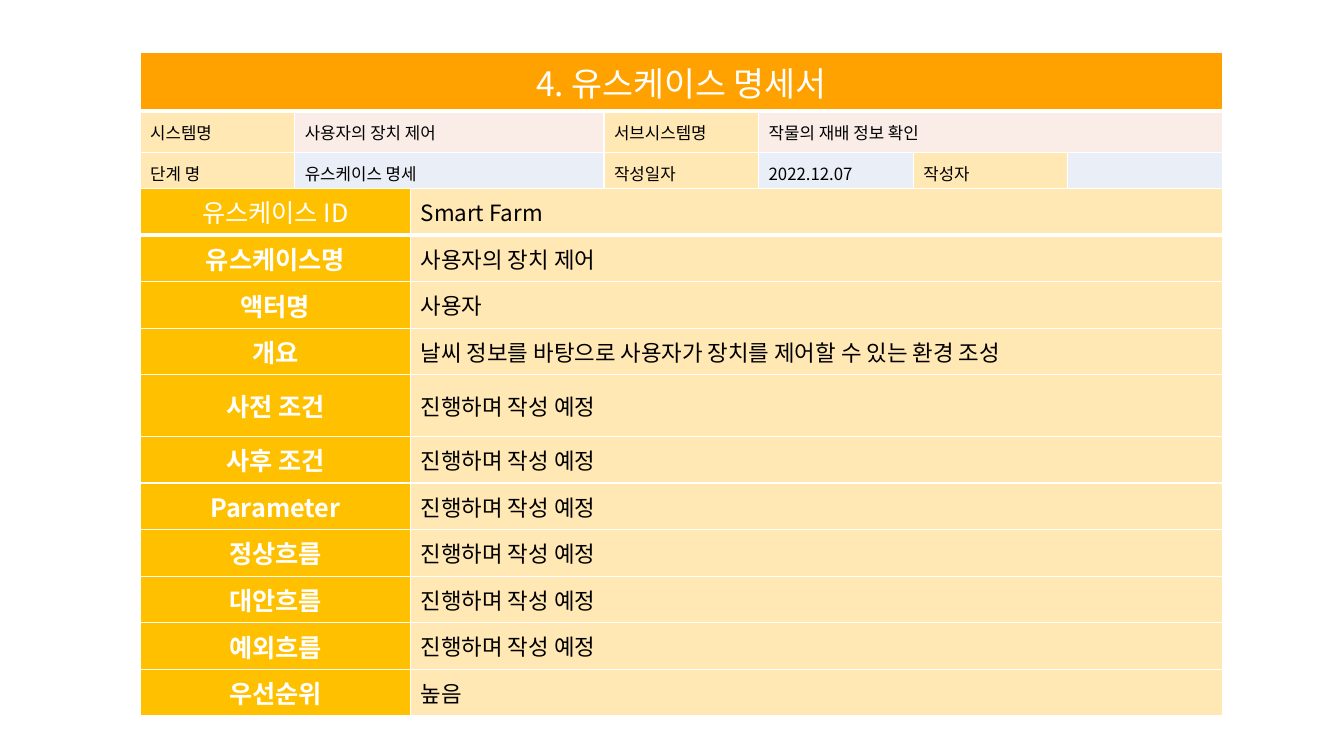
from lxml.etree import SubElement
from pptx import Presentation
from pptx.dml.color import RGBColor
from pptx.enum.text import MSO_ANCHOR, PP_ALIGN
from pptx.oxml.ns import qn
from pptx.util import Cm, Pt

FONT = "Noto Sans CJK KR"
COLORS = {
    "title": "FFA200",
    "label": "FFC000",
    "cream": "FFE8B4",
    "pink": "FAEDE7",
    "blue": "EAEFF7",
    "white": "FFFFFF",
    "black": "000000",
}
STYLES = {
    "title": {"size": Pt(24), "bold": False, "color": "white", "align": PP_ALIGN.CENTER},
    "info": {"size": Pt(12), "bold": False, "color": "black", "align": PP_ALIGN.LEFT},
    "first label": {"size": Pt(18), "bold": False, "color": "white", "align": PP_ALIGN.CENTER},
    "label": {"size": Pt(18), "bold": True, "color": "white", "align": PP_ALIGN.CENTER},
    "value": {"size": Pt(16), "bold": False, "color": "black", "align": PP_ALIGN.LEFT},
}
TITLE = "4. 유스케이스 명세서"
INFO_ROWS = [
    ("pink", ["시스템명", "사용자의 장치 제어", "서브시스템명", "작물의 재배 정보 확인"]),
    ("blue", ["단계 명", "유스케이스 명세", "작성일자", "2022.12.07", "작성자", ""]),
]
PENDING = "진행하며 작성 예정"
USE_CASE = [
    ("유스케이스 ID", "Smart Farm"),
    ("유스케이스명", "사용자의 장치 제어"),
    ("액터명", "사용자"),
    ("개요", "날씨 정보를 바탕으로 사용자가 장치를 제어할 수 있는 환경 조성"),
    ("사전 조건", PENDING),
    ("사후 조건", PENDING),
    ("Parameter", PENDING),
    ("정상흐름", PENDING),
    ("대안흐름", PENDING),
    ("예외흐름", PENDING),
    ("우선순위", "높음"),
]

LEFT, WIDTH = 3.53, 27.28
INFO_TOP, USE_CASE_TOP = 1.32, 4.75
INFO_SHARES = [1, 2, 1, 1, 1, 1]
USE_CASE_SHARES = [1, 3]
INFO_HEIGHTS = [1.04] * 3
USE_CASE_HEIGHTS = [1.17] + [1.12] * 3 + [1.55] + [1.12] * 6


def add_grid(slide, top, shares, heights):
    frame = slide.shapes.add_table(
        len(heights), len(shares), Cm(LEFT), Cm(top), Cm(WIDTH), Cm(sum(heights))
    )
    table = frame.table
    for column, share in zip(table.columns, shares):
        column.width = Cm(WIDTH * share / sum(shares))
    for row, height in zip(table.rows, heights):
        row.height = Cm(height)
    for row_number in range(len(heights)):
        for column_number in range(len(shares)):
            add_borders(table.cell(row_number, column_number), row_number == 0)
    return table


def add_borders(cell, is_header):
    properties = cell._tc.get_or_add_tcPr()
    for side in ("lnL", "lnR", "lnT", "lnB"):
        width = Pt(3 if is_header and side == "lnB" else 1)
        line = SubElement(properties, qn(f"a:{side}"), w=str(width))
        fill = SubElement(line, qn("a:solidFill"))
        SubElement(fill, qn("a:srgbClr"), val=COLORS["white"])


def fill_cell(cell, text, style_name, fill_name):
    style = STYLES[style_name]
    cell.fill.solid()
    cell.fill.fore_color.rgb = RGBColor.from_string(COLORS[fill_name])
    cell.vertical_anchor = MSO_ANCHOR.MIDDLE
    paragraph = cell.text_frame.paragraphs[0]
    paragraph.alignment = style["align"]
    run = paragraph.add_run()
    run.text = text
    for name, value in {"size": style["size"], "bold": style["bold"], "name": FONT}.items():
        setattr(run.font, name, value)
    run.font.color.rgb = RGBColor.from_string(COLORS[style["color"]])
    SubElement(run._r.get_or_add_rPr(), qn("a:ea"), typeface=FONT)


def add_info_table(slide):
    table = add_grid(slide, INFO_TOP, INFO_SHARES, INFO_HEIGHTS)
    table.cell(0, 0).merge(table.cell(0, 5))
    table.cell(1, 3).merge(table.cell(1, 5))
    fill_cell(table.cell(0, 0), TITLE, "title", "title")
    for row_number, (value_fill, texts) in enumerate(INFO_ROWS, 1):
        for column_number, text in enumerate(texts):
            fill_name = value_fill if column_number % 2 else "cream"
            fill_cell(table.cell(row_number, column_number), text, "info", fill_name)


def add_use_case_table(slide):
    table = add_grid(slide, USE_CASE_TOP, USE_CASE_SHARES, USE_CASE_HEIGHTS)
    for row_number, (label, value) in enumerate(USE_CASE):
        label_style = "label" if row_number else "first label"
        fill_cell(table.cell(row_number, 0), label, label_style, "label")
        fill_cell(table.cell(row_number, 1), value, "value", "cream")


def main():
    presentation = Presentation()
    presentation.slide_width = Cm(33.87)
    presentation.slide_height = Cm(19.05)
    slide = presentation.slides.add_slide(presentation.slide_layouts[6])
    add_info_table(slide)
    add_use_case_table(slide)
    presentation.save("out.pptx")


if __name__ == "__main__":
    main()
